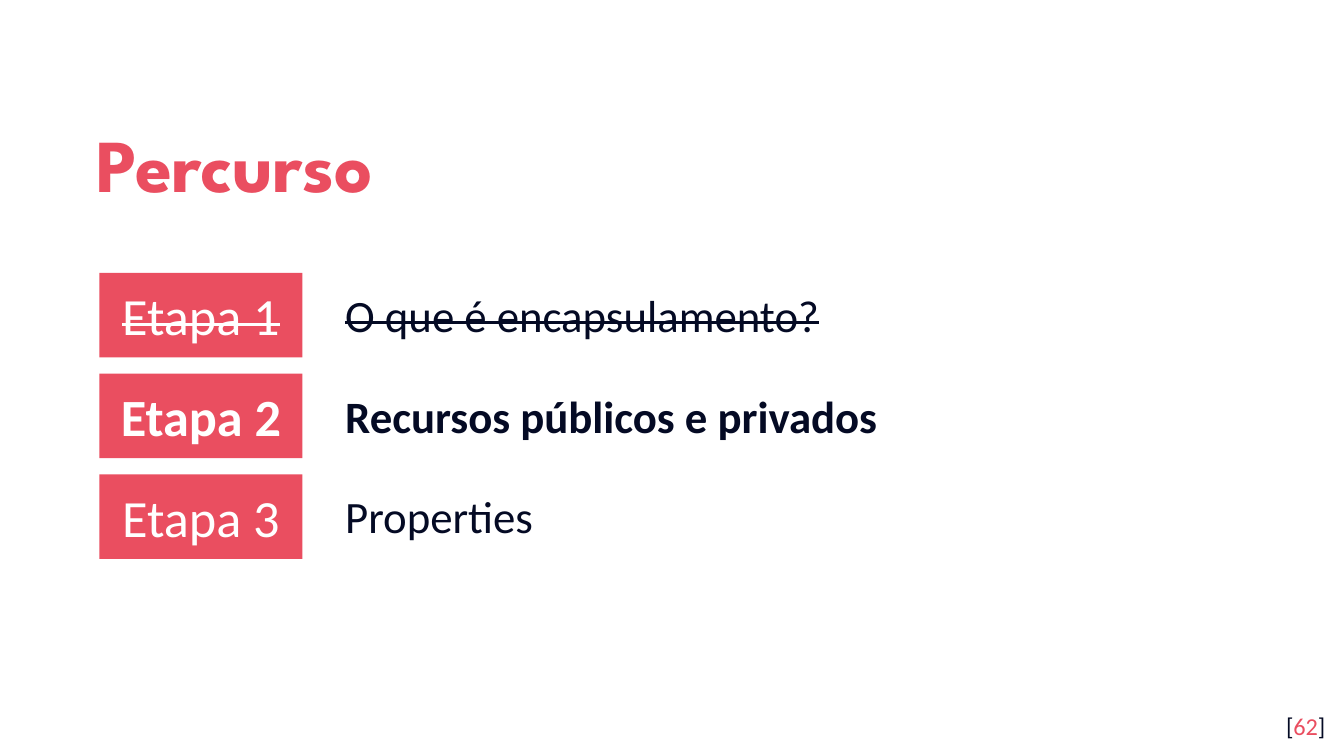
import pptx
import pptx.util
import pptx.dml.color
import pptx.enum.shapes
import pptx.enum.text

Inches = pptx.util.Inches
ALIGN = pptx.enum.text.PP_ALIGN
ANCHOR = pptx.enum.text.MSO_ANCHOR
COLORS = {"coral": "EA4E60", "navy": "040A24", "white": "FFFFFF"}


def write(holder, parts, size, font="Calibri", bold=False, strike=False,
          align=ALIGN.LEFT, anchor=ANCHOR.TOP, inset=0.1, spacing=None):
    frame = holder.text_frame
    frame.word_wrap = True
    frame.auto_size = pptx.enum.text.MSO_AUTO_SIZE.NONE
    frame.vertical_anchor = anchor
    frame.margin_left = frame.margin_right = Inches(0.1)
    frame.margin_top = frame.margin_bottom = Inches(inset)
    paragraph = frame.paragraphs[0]
    paragraph.alignment = align
    paragraph.line_spacing = spacing
    for text, color in parts:
        run = paragraph.add_run()
        run.text = text
        run.font.name = font
        run.font.size = pptx.util.Pt(size)
        run.font.bold = bold
        run.font.color.rgb = pptx.dml.color.RGBColor.from_string(COLORS[color])
        if strike:
            run.font._element.set("strike", "sngStrike")


deck = pptx.Presentation()
deck.slide_width = Inches(10)
deck.slide_height = Inches(10 * 9 / 16)
slide = deck.slides.add_slide(deck.slide_layouts[5])

heading = slide.shapes.title
heading.left, heading.top = Inches(0.62), Inches(0.7)
heading.width, heading.height = Inches(8.1), Inches(0.92)
write(heading, [("Percurso", "coral")], 40, font="League Spartan", bold=True,
      anchor=ANCHOR.MIDDLE, spacing=1.15)

stages = [
    ("O que é encapsulamento?", {"strike": True}),
    ("Recursos públicos e privados", {"bold": True}),
    ("Properties", {}),
]
for index, (topic, emphasis) in enumerate(stages):
    top = 2.03 + 0.75 * index
    stage = slide.shapes.add_shape(
        pptx.enum.shapes.MSO_SHAPE.RECTANGLE,
        Inches(0.74), Inches(top), Inches(1.51), Inches(0.63))
    stage.shadow.inherit = False
    stage.fill.solid()
    stage.fill.fore_color.rgb = pptx.dml.color.RGBColor.from_string(COLORS["coral"])
    stage.line.fill.background()
    write(stage, [(f"Etapa {index + 1}", "white")], 28, align=ALIGN.CENTER,
          anchor=ANCHOR.MIDDLE, **emphasis)

    subject = slide.shapes.add_textbox(
        Inches(2.47), Inches(top + 0.06), Inches(6.75), Inches(0.5))
    write(subject, [(topic, "navy")], 24, inset=0.05, **emphasis)

page_number = slide.shapes.add_textbox(
    Inches(9.36), Inches(5.19), Inches(0.6), Inches(0.43))
write(page_number, [("[", "navy"), ("62", "coral"), ("]", "navy")], 13,
      align=ALIGN.RIGHT)

deck.save("out.pptx")
